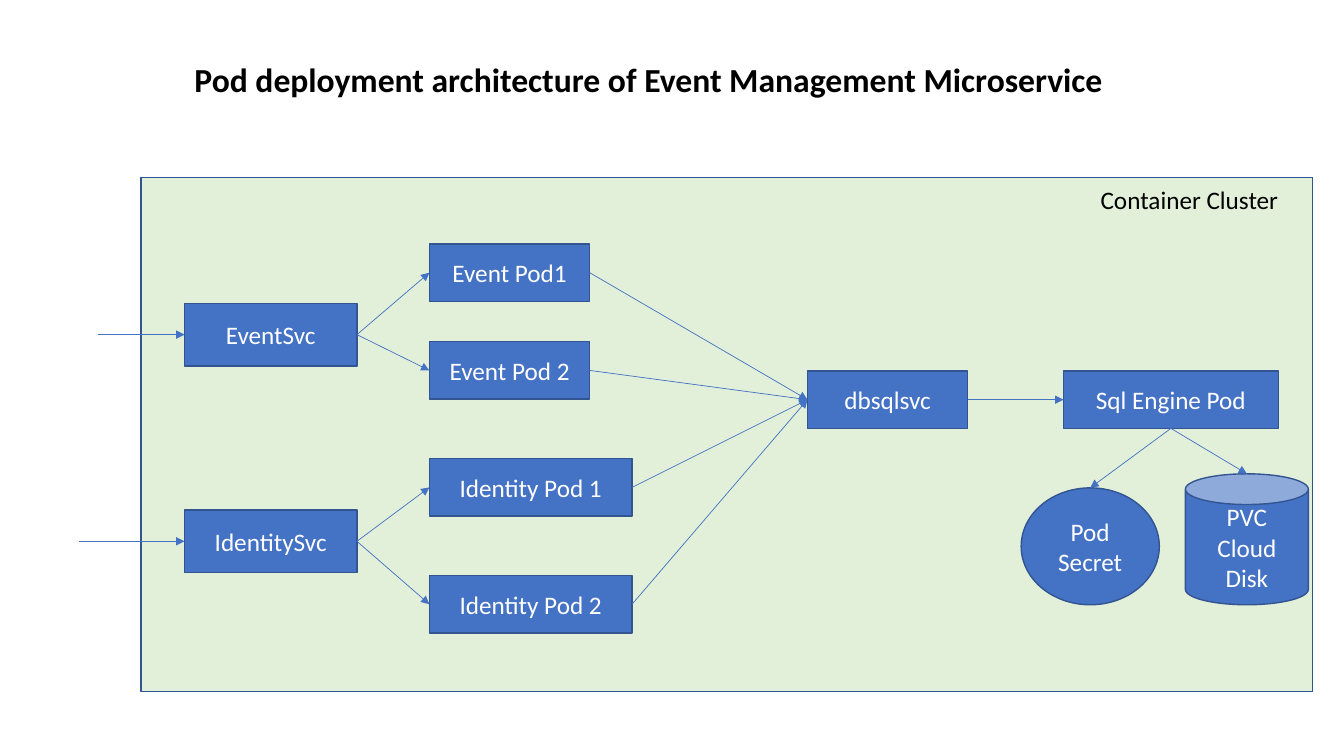
from lxml import etree
from pptx import Presentation, util as u
from pptx.dml.color import RGBColor
from pptx.enum import shapes, text
from pptx.oxml.ns import qn

SHAPE = shapes.MSO_SHAPE
ALIGN = text.PP_ALIGN
TOP, LEFT, DOWN, RIGHT = range(4)


def paint(code):
    return RGBColor.from_string(code)


def write(frame, words, size=18, color="FFFFFF", bold=False, align=ALIGN.CENTER,
          anchor=text.MSO_ANCHOR.MIDDLE):
    frame.word_wrap = True
    frame.vertical_anchor = anchor
    frame.text = words
    for para in frame.paragraphs:
        para.alignment = align
        for run in para.runs:
            run.font.name = "Calibri"
            run.font.size = u.Pt(size)
            run.font.bold = bold
            run.font.color.rgb = paint(color)


class Board:
    blue, edge, green = "4472C4", "325491", "E2F0D9"

    def __init__(self, deck):
        self.col = deck.slide_width / 100
        self.row = deck.slide_height / 100
        self.items = deck.slides.add_slide(deck.slide_layouts[6]).shapes

    def scale(self, *sides):
        return [round(side * (self.row if i % 2 else self.col))
                for i, side in enumerate(sides)]

    def box(self, words, *place, kind=SHAPE.RECTANGLE, fill=blue):
        item = self.items.add_shape(kind, *self.scale(*place))
        item.shadow.inherit = False
        item.fill.solid()
        item.fill.fore_color.rgb = paint(fill)
        item.line.color.rgb = paint(self.edge)
        item.line.width = u.Pt(1)
        if words:
            write(item.text_frame, words)
        return item

    def label(self, words, *place, **style):
        item = self.items.add_textbox(*self.scale(*place))
        write(item.text_frame, words, color="000000", align=ALIGN.LEFT,
              anchor=text.MSO_ANCHOR.TOP, **style)

    def arrow(self, *ends):
        line = self.items.add_connector(shapes.MSO_CONNECTOR.STRAIGHT, *ends)
        line.line.color.rgb = paint(self.blue)
        line.line.width = u.Pt(0.5)
        stroke = line.line._get_or_add_ln()
        etree.SubElement(stroke, qn("a:tailEnd"), type="triangle")
        etree.SubElement(stroke.getparent(), qn("a:effectLst"))
        return line

    def link(self, start, end, out=RIGHT, into=LEFT):
        line = self.arrow(0, 0, 0, 0)
        line.begin_connect(start, out)
        line.end_connect(end, into)

    def enter(self, left, end):
        mid = end.top + end.height // 2
        line = self.arrow(*self.scale(left), mid, end.left, mid)
        line.end_connect(end, LEFT)

    def drop(self, start, end):
        line = self.arrow(0, 0, end.left + end.width // 2, end.top)
        line.begin_connect(start, DOWN)


deck = Presentation()
deck.slide_width, deck.slide_height = u.Inches(13.33), u.Inches(7.5)
board = Board(deck)

board.box("", 10.5, 23.47, 87.15, 68, fill=board.green)
board.label("Pod deployment architecture of Event Management Microservice",
            13.73, 7.07, 79.73, 6.67, size=24, bold=True)
board.label("Container Cluster", 81.15, 23.73, 16.2, 5.33)

tall = 7.6
store = board.box("dbsqlsvc", 60.08, 49.07, 11.93, tall)
server = board.box("Sql Engine Pod", 79.13, 49.07, 15.98, tall)
secret = board.box("Pod\nSecret", 75.98, 64.53, 10.28, 15.47, kind=SHAPE.OVAL)
disk = board.box("PVC\nCloud Disk", 88.2, 62.67, 9.15, 17.33, kind=SHAPE.CAN)

groups = [
    ("EventSvc", 40.13, 7.28, 11.93, [("Event Pod1", 32.27), ("Event Pod 2", 45.2)]),
    ("IdentitySvc", 67.47, 5.85, 15.08, [("Identity Pod 1", 60.67), ("Identity Pod 2", 76.13)]),
]
for name, top, start, wide, pods in groups:
    svc = board.box(name, 13.73, top, 12.83, 8.27)
    board.enter(start, svc)
    for title, high in pods:
        pod = board.box(title, 31.95, high, wide, tall)
        board.link(svc, pod)
        board.link(pod, store)

board.link(store, server)
board.link(server, secret, DOWN, TOP)
board.drop(server, disk)

deck.save("out.pptx")
